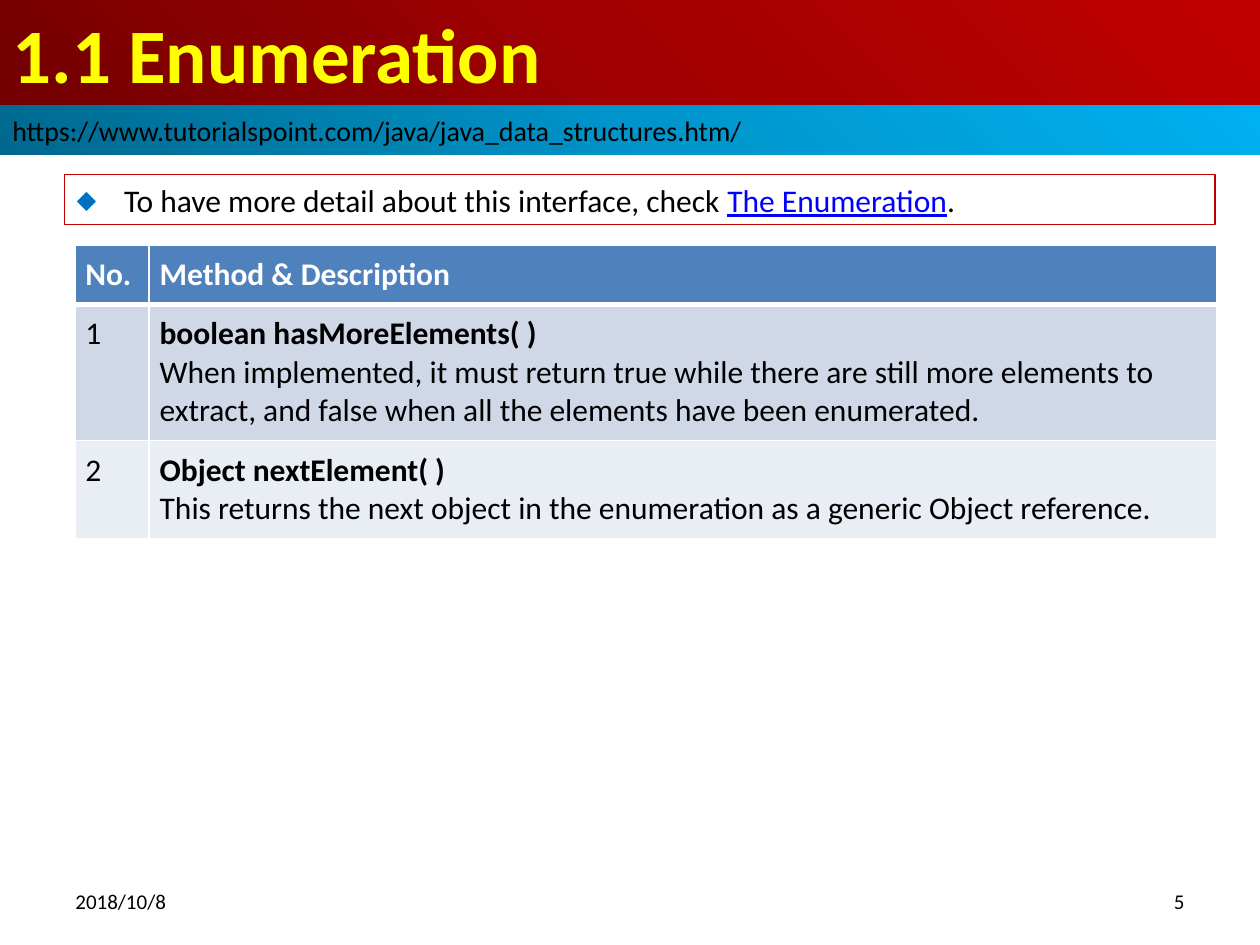
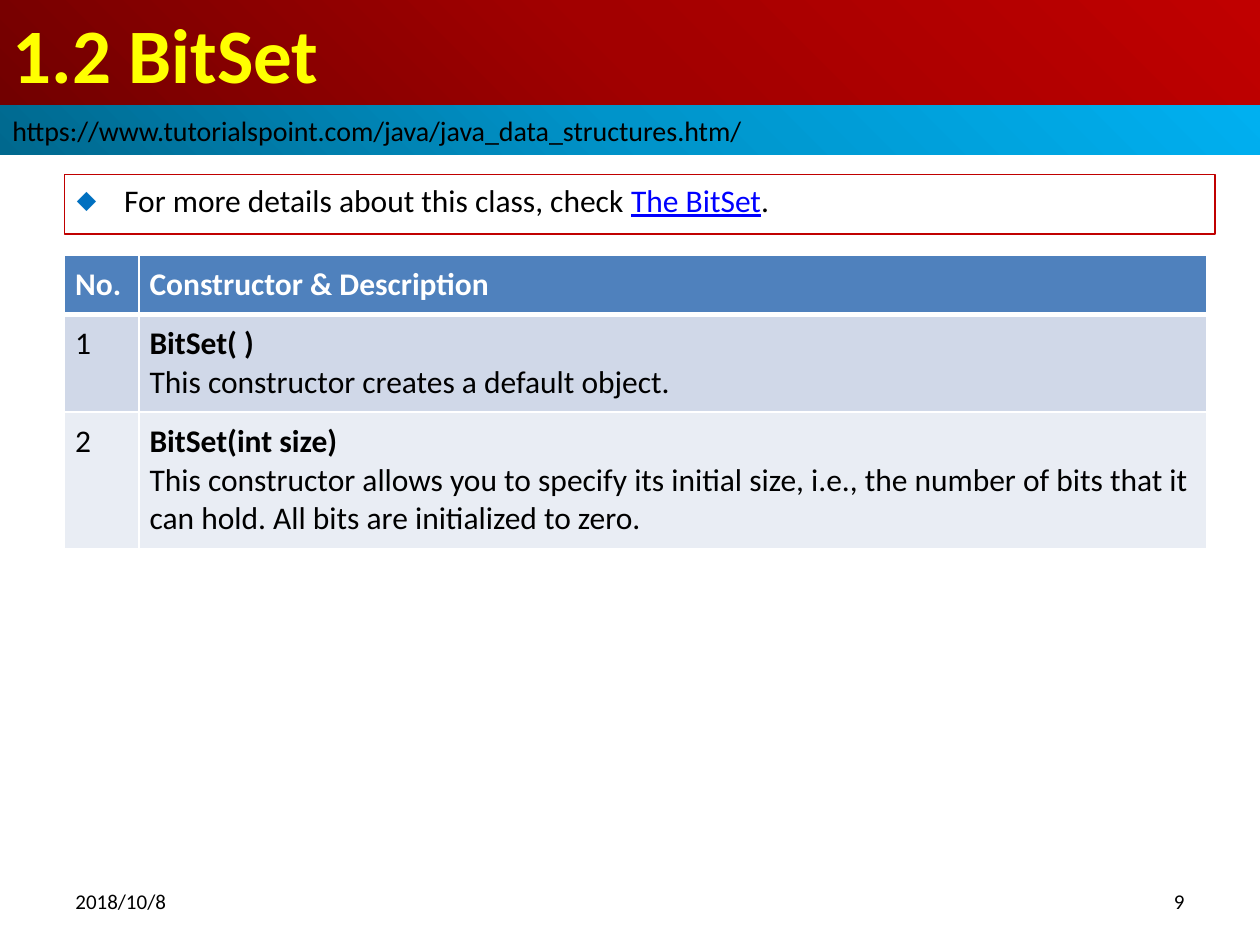
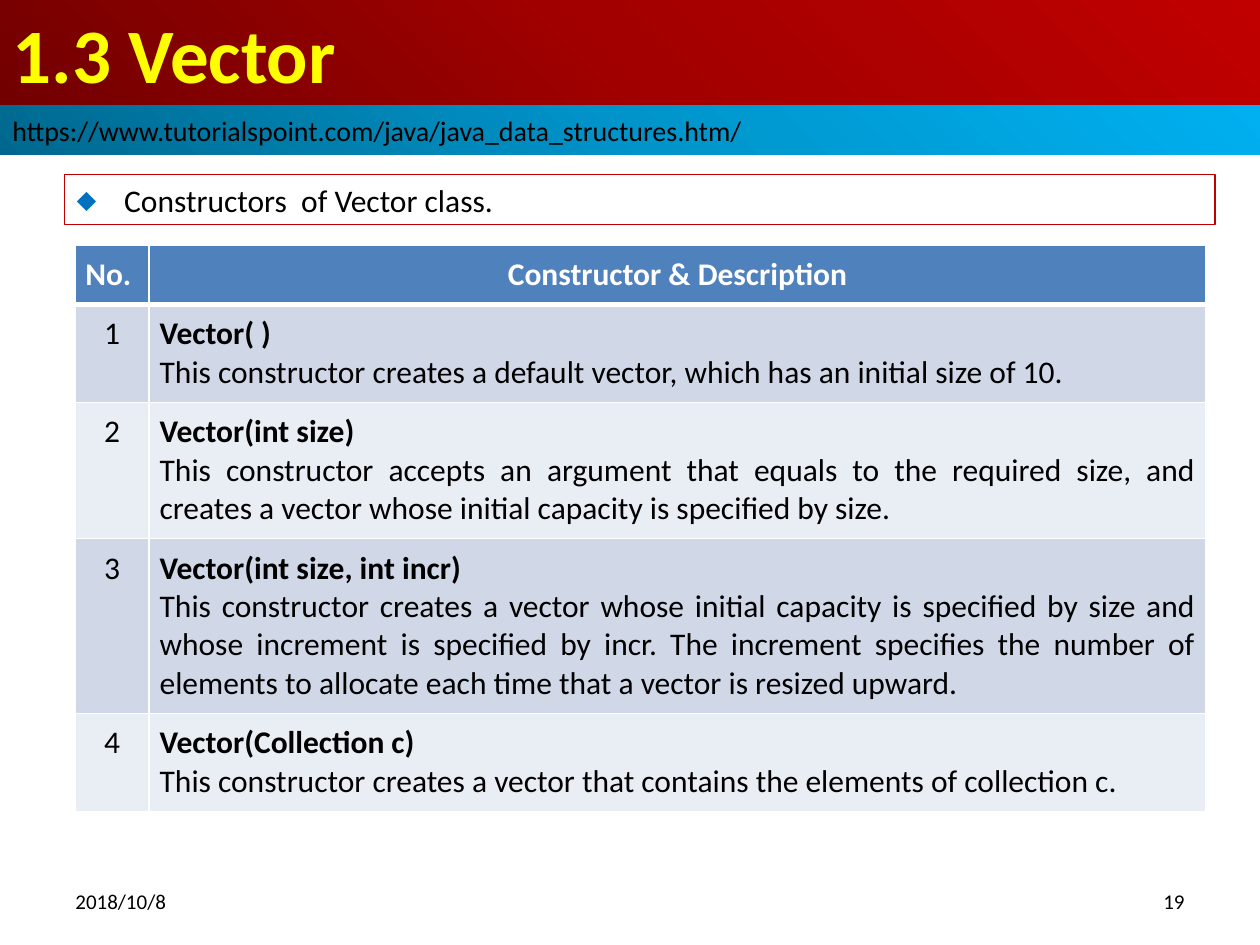
from lxml.etree import SubElement
from pptx import Presentation
from pptx.dml.color import RGBColor
from pptx.enum.shapes import MSO_SHAPE
from pptx.enum.text import MSO_ANCHOR, MSO_AUTO_SIZE, PP_ALIGN
from pptx.oxml import parse_xml
from pptx.oxml.ns import nsdecls, qn
from pptx.util import Pt

FONT = "Calibri"
BLACK, WHITE, YELLOW = "000000", "FFFFFF", "FFFF00"
RED, LINK_BLUE, BULLET_BLUE = "C00000", "0000FF", "0070C0"
HEADER_FILL, ROW_FILLS = "4F81BD", ("D0D8E8", "E9EDF4")
TITLE_STOPS = ("720000", "A20000", "C00000")
BAND_STOPS = ("00688E", "0094CA", "00B0F0")
TITLE_BOX = (0, 0, 720, 60)
BAND_BOX = (0, 60, 720, 28.5)
DATE_BOX = (36, 500.5, 168, 28.75)
NUMBER_BOX = (516, 500.5, 168, 28.75)
SOURCE = "https://www.tutorialspoint.com/java/java_data_structures.htm/"
DATE = "2018/10/8"
NUMBER_WIDTH, ROW_HEIGHT, CELL_INSET = 42.5, 29.2, 6

LEFT_COLUMNS = {"header": PP_ALIGN.LEFT, "number": PP_ALIGN.LEFT, "text": PP_ALIGN.LEFT}
JUSTIFIED_COLUMNS = {"header": PP_ALIGN.CENTER, "number": PP_ALIGN.CENTER, "text": PP_ALIGN.JUSTIFY}

PAGES = [
    {
        "title": "1.1 Enumeration",
        "number": "5",
        "lead": ("To have more detail about this interface, check ", "The Enumeration", "."),
        "lead_box": (36.75, 99.75, 657.5, 28.5),
        "table_box": (42.75, 140, 652.5, 165.6),
        "aligns": LEFT_COLUMNS,
        "heading": "Method & Description",
        "entries": [
            ("boolean hasMoreElements( )",
             "When implemented, it must return true while there are still more elements to "
             "extract, and false when all the elements have been enumerated."),
            ("Object nextElement( )",
             "This returns the next object in the enumeration as a generic Object reference."),
        ],
    },
    {
        "title": "1.2 BitSet",
        "number": "9",
        "lead": ("For more details about this class, check ", "The BitSet", "."),
        "lead_box": (36.75, 99.75, 657.5, 34),
        "table_box": (37, 145.6, 652.5, 165.6),
        "aligns": LEFT_COLUMNS,
        "heading": "Constructor & Description",
        "entries": [
            ("BitSet( )", "This constructor creates a default object."),
            ("BitSet(int size)",
             "This constructor allows you to specify its initial size, i.e., the number of bits "
             "that it can hold. All bits are initialized to zero."),
        ],
    },
    {
        "title": "1.3 Vector",
        "number": "19",
        "lead": ("Constructors  of Vector class.",),
        "lead_box": (36.75, 99.75, 657.5, 28.5),
        "table_box": (42.75, 140, 646.5, 319),
        "aligns": JUSTIFIED_COLUMNS,
        "heading": "Constructor & Description",
        "entries": [
            ("Vector( )",
             "This constructor creates a default vector, which has an initial size of 10."),
            ("Vector(int size)",
             "This constructor accepts an argument that equals to the required size, and creates "
             "a vector whose initial capacity is specified by size."),
            ("Vector(int size, int incr)",
             "This constructor creates a vector whose initial capacity is specified by size and "
             "whose increment is specified by incr. The increment specifies the number of "
             "elements to allocate each time that a vector is resized upward."),
            ("Vector(Collection c)",
             "This constructor creates a vector that contains the elements of collection c."),
        ],
    },
]


def color(value):
    """Turn a hex string into a colour."""
    return RGBColor.from_string(value)


def set_all(target, values):
    """Set each attribute named in a dict of format values."""
    for name, value in values.items():
        setattr(target, name, value)


def place(shape, box):
    """Move a shape to a box given in points."""
    set_all(shape, dict(zip(("left", "top", "width", "height"), map(Pt, box))))


def add_span(para, text, size, tint=BLACK, **formats):
    """Add a formatted run to a paragraph."""
    span = para.add_run()
    span.text = text
    set_all(span.font, {"name": FONT, "size": Pt(size), **formats})
    span.font.color.rgb = color(tint)


def fill_gradient(shape, stops):
    """Fill a shape with colours spreading from its lower left corner."""
    shape.fill.gradient()
    gradient = shape.fill._xPr.find(qn("a:gradFill"))
    for child in list(gradient):
        gradient.remove(child)
    stop_list = SubElement(gradient, qn("a:gsLst"))
    for index, tint in enumerate(stops):
        stop = SubElement(stop_list, qn("a:gs"), pos=str(index * 50000))
        SubElement(stop, qn("a:srgbClr"), val=tint)
    spread = SubElement(gradient, qn("a:path"), attrib={"path": "circle"})
    SubElement(spread, qn("a:fillToRect"), t="100000", r="100000")


def write_line(shape, text, size, tint=BLACK, align=PP_ALIGN.LEFT, bold=False):
    """Write one vertically centred line into a shape."""
    frame = shape.text_frame
    set_all(frame, {"word_wrap": True, "auto_size": MSO_AUTO_SIZE.NONE,
                    "vertical_anchor": MSO_ANCHOR.MIDDLE})
    para = frame.paragraphs[0]
    para.alignment = align
    add_span(para, text, size, tint, bold=bold)


def add_frame(page, title, number):
    """Add the title, source band, date and page number."""
    heading = page.shapes.title
    place(heading, TITLE_BOX)
    fill_gradient(heading, TITLE_STOPS)
    write_line(heading, title, 44, YELLOW, bold=True)
    band = page.shapes.add_shape(MSO_SHAPE.RECTANGLE, *map(Pt, BAND_BOX))
    band.shadow.inherit = False
    band.line.fill.background()
    fill_gradient(band, BAND_STOPS)
    write_line(band, SOURCE, 16)
    for box, text, align in ((DATE_BOX, DATE, PP_ALIGN.LEFT), (NUMBER_BOX, number, PP_ALIGN.RIGHT)):
        write_line(page.shapes.add_textbox(*map(Pt, box)), text, 12, align=align)


def add_lead(page, box, parts):
    """Add the outlined bullet, whose second part looks like a link."""
    lead = page.placeholders[1]
    place(lead, box)
    lead.line.color.rgb = color(RED)
    lead.line.width = Pt(0.75)
    set_all(lead.text_frame, {"word_wrap": True, "auto_size": MSO_AUTO_SIZE.NONE,
                              "vertical_anchor": MSO_ANCHOR.TOP})
    para = lead.text_frame.paragraphs[0]
    set_all(para, {"alignment": PP_ALIGN.LEFT, "space_before": Pt(0)})
    properties = para._p.get_or_add_pPr()
    properties.set("marL", str(Pt(27)))
    properties.set("indent", str(Pt(-27)))
    tint = SubElement(properties, qn("a:buClr"))
    SubElement(tint, qn("a:srgbClr"), val=BULLET_BLUE)
    SubElement(properties, qn("a:buSzPct"), val="80000")
    SubElement(properties, qn("a:buFont"), typeface=FONT)
    SubElement(properties, qn("a:buChar"), char="◆")
    for index, text in enumerate(parts):
        is_link = index == 1
        add_span(para, text, 18, LINK_BLUE if is_link else BLACK, underline=is_link)


def set_borders(cell, top, bottom):
    """Give a cell white borders with the chosen top and bottom widths."""
    properties = cell._tc.get_or_add_tcPr()
    for index, (side, width) in enumerate({"L": 1, "R": 1, "T": top, "B": bottom}.items()):
        properties.insert(index, parse_xml(
            f'<a:ln{side} {nsdecls("a")} w="{Pt(width)}"><a:solidFill>'
            f'<a:srgbClr val="{WHITE}"/></a:solidFill></a:ln{side}>'))


def write_cell(cell, lines, align, fill, tint):
    """Fill a cell with lines given as pairs of text and boldness."""
    cell.fill.solid()
    cell.fill.fore_color.rgb = color(fill)
    sides = ("left", "right", "top", "bottom")
    set_all(cell, {f"margin_{side}": Pt(CELL_INSET) for side in sides})
    for index, (text, bold) in enumerate(lines):
        frame = cell.text_frame
        para = frame.add_paragraph() if index else frame.paragraphs[0]
        para.alignment = align
        add_span(para, text, 18, tint, bold=bold)


def add_member_table(page, box, heading, entries, aligns):
    """Add the numbered table of class members."""
    left, top, width, height = box
    count = len(entries) + 1
    holder = page.shapes.add_table(count, 2, *map(Pt, (left, top, width, ROW_HEIGHT * count)))
    holder.height = Pt(height)
    table = holder.table
    table.horz_banding = False
    table.columns[0].width = Pt(NUMBER_WIDTH)
    table.columns[1].width = Pt(width - NUMBER_WIDTH)
    for column, (text, align) in enumerate((("No.", PP_ALIGN.LEFT), (heading, aligns["header"]))):
        write_cell(table.cell(0, column), [(text, True)], align, HEADER_FILL, WHITE)
        set_borders(table.cell(0, column), 1, 3)
    for row, (member, description) in enumerate(entries, 1):
        fill = ROW_FILLS[(row - 1) % 2]
        write_cell(table.cell(row, 0), [(str(row), False)], aligns["number"], fill, BLACK)
        lines = [(member, True), (description, False)]
        write_cell(table.cell(row, 1), lines, aligns["text"], fill, BLACK)
        for column in range(2):
            set_borders(table.cell(row, column), 3 if row == 1 else 1, 1)


def main():
    """Build the deck and save it."""
    deck = Presentation()
    set_all(deck, {"slide_width": Pt(720), "slide_height": Pt(540)})
    for content in PAGES:
        page = deck.slides.add_slide(deck.slide_layouts[0])
        add_frame(page, content["title"], content["number"])
        add_lead(page, content["lead_box"], content["lead"])
        add_member_table(page, content["table_box"], content["heading"],
                         content["entries"], content["aligns"])
    deck.save("out.pptx")


if __name__ == "__main__":
    main()
